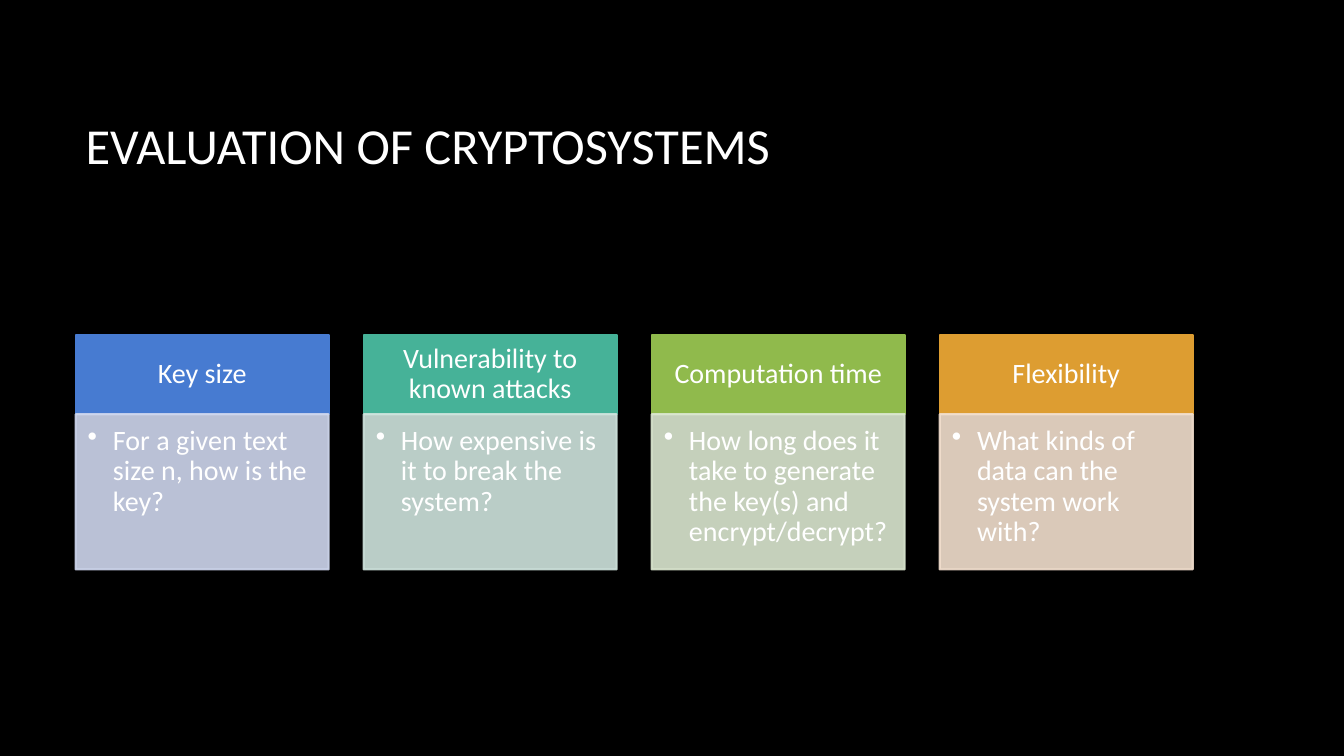
"""Build the slide on evaluating cryptosystems: a title above four criterion cards."""
import pptx
import pptx.util
import pptx.dml.color
import pptx.enum.shapes
import pptx.enum.text
import pptx.oxml.ns
import lxml.etree

TITLE = "EVALUATION OF CRYPTOSYSTEMS"
CRITERIA = [
    ("Key size", "For a given text size n, how is the key?", "477BD1", "CFD7EE"),
    ("Vulnerability to known attacks", "How expensive is it to break the system?", "46B298", "CFE4DD"),
    ("Computation time", "How long does it take to generate the key(s) and encrypt/decrypt?", "90BA4C", "DBE7D0"),
    ("Flexibility", "What kinds of data can the system work with?", "DD9D31", "F2DFCE"),
]
THEME = {
    "font": "Calibri", "background": "000000", "text": "FFFFFF",
    "title_size": 36, "card_size": 20, "border": 1.5, "body_opacity": 90,
}
SLIDE_WIDTH, SLIDE_HEIGHT = 13.33, 7.5
LEFT, CONTENT_WIDTH = 0.75, 11.08
TITLE_TOP, TITLE_HEIGHT = 0.67, 1.59
CARD_TOP, CARD_WIDTH, HEADER_HEIGHT, BODY_HEIGHT = 3.32, 2.51, 0.79, 1.54
BULLET_INDENT = 0.25

Inches = pptx.util.Inches
Anchor = pptx.enum.text.MSO_ANCHOR
Align = pptx.enum.text.PP_ALIGN
qn = pptx.oxml.ns.qn


def rgb(value):
    return pptx.dml.color.RGBColor.from_string(value)


def write_text(box, text, size, anchor=Anchor.MIDDLE, align=Align.LEFT,
               insets=(0.1, 0.05, 0.1, 0.05), bullet=False):
    frame = box.text_frame
    frame.word_wrap = True
    frame.vertical_anchor = anchor
    frame.margin_left, frame.margin_top, frame.margin_right, frame.margin_bottom = map(Inches, insets)
    para = frame.paragraphs[0]
    para.alignment = align
    para.line_spacing = 0.9
    span = para.add_run()
    span.text = text
    span.font.name = THEME["font"]
    span.font.size = pptx.util.Pt(size)
    span.font.color.rgb = rgb(THEME["text"])
    if bullet:
        properties = para._p.get_or_add_pPr()
        properties.set("marL", str(Inches(BULLET_INDENT)))
        properties.set("indent", str(-Inches(BULLET_INDENT)))
        lxml.etree.SubElement(properties, qn("a:buChar")).set("char", "•")


def add_panel(slide, left, top, height, color, opacity=100):
    panel = slide.shapes.add_shape(
        pptx.enum.shapes.MSO_SHAPE.RECTANGLE,
        Inches(left), Inches(top), Inches(CARD_WIDTH), Inches(height))
    panel.shadow.inherit = False
    panel.fill.solid()
    panel.fill.fore_color.rgb = rgb(color)
    panel.line.color.rgb = rgb(color)
    panel.line.width = pptx.util.Pt(THEME["border"])
    if opacity < 100:
        for tint in panel._element.spPr.iter(qn("a:srgbClr")):
            lxml.etree.SubElement(tint, qn("a:alpha")).set("val", str(opacity * 1000))
    return panel


def add_card(slide, left, heading, question, strong, pale):
    header = add_panel(slide, left, CARD_TOP, HEADER_HEIGHT, strong)
    write_text(header, heading, THEME["card_size"], align=Align.CENTER,
               insets=(0.16, 0.09, 0.16, 0.09))
    body = add_panel(slide, left, CARD_TOP + HEADER_HEIGHT, BODY_HEIGHT, pale, THEME["body_opacity"])
    write_text(body, question, THEME["card_size"], anchor=Anchor.TOP,
               insets=(0.12, 0.12, 0.16, 0.17), bullet=True)


deck = pptx.Presentation()
deck.slide_width, deck.slide_height = Inches(SLIDE_WIDTH), Inches(SLIDE_HEIGHT)
page = deck.slides.add_slide(deck.slide_layouts[6])
page.background.fill.solid()
page.background.fill.fore_color.rgb = rgb(THEME["background"])

title = page.shapes.add_textbox(
    Inches(LEFT), Inches(TITLE_TOP), Inches(CONTENT_WIDTH), Inches(TITLE_HEIGHT))
write_text(title, TITLE, THEME["title_size"])

card_step = (CONTENT_WIDTH - CARD_WIDTH) / (len(CRITERIA) - 1)
for column, criterion in enumerate(CRITERIA):
    add_card(page, LEFT + column * card_step, *criterion)

deck.save("out.pptx")
